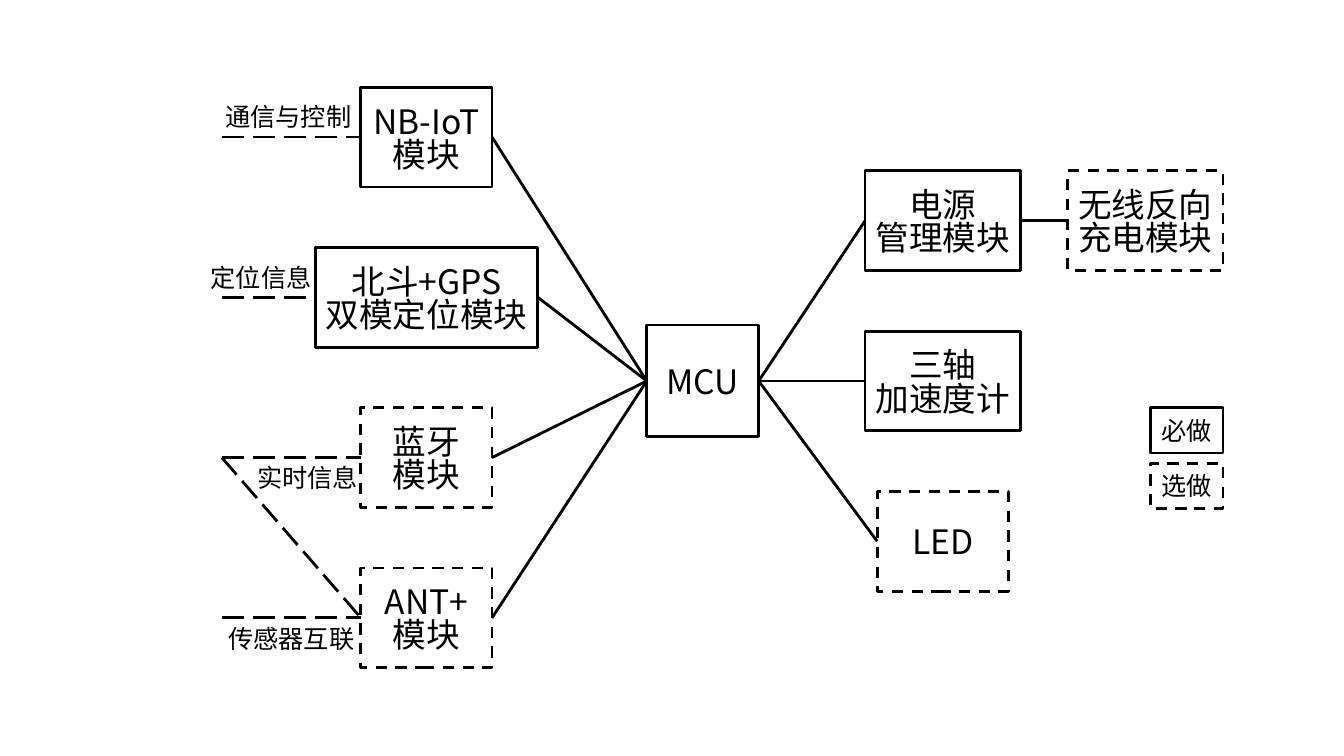
from pptx import Presentation
from pptx.dml.color import RGBColor
from pptx.enum import dml, shapes, text
from pptx.oxml.ns import qn
from pptx.util import Inches, Pt

FONT = "Noto Sans CJK SC"
INK = "000000"
SOLID, DASH, LONG = (dml.MSO_LINE.SOLID, dml.MSO_LINE.DASH, dml.MSO_LINE.LONG_DASH)
TOP, LEFT, BOTTOM, RIGHT = range(4)

ROW_STEP, BOX_H = 1.59, 0.99
LEFT_X, LEFT_Y = 4.23, 1.36
MCU_X, MCU_Y, MCU_SIZE = 6.97, 3.78, 1.11
RIGHT_X, CHARGER_X = 9.35, 11.36
LEGEND_X, LEGEND_Y, LEGEND_STEP = 11.77, 4.27, 0.55
STUB_X, LABEL_H = 2.2, 0.4

LEFT_MODULES = [
    (["NB-IoT", "模块"], 1.3, SOLID),
    (["北斗+GPS", "双模定位模块"], 2.21, SOLID),
    (["蓝牙", "模块"], 1.3, DASH),
    (["ANT+", "模块"], 1.3, DASH),
]
RIGHT_MODULES = [
    (["电源", "管理模块"], 1.54, SOLID),
    (["三轴", "加速度计"], 1.54, SOLID),
    (["LED"], 1.3, DASH),
]
CHARGER = ["无线反向", "充电模块"]
LABELS = [
    ("通信与控制", 2.86, 1.46, -1),
    ("定位信息", 2.59, 1.21, -1),
    ("实时信息", 3.05, 1.21, 1),
    ("传感器互联", 2.89, 1.46, 1),
]
LEGEND = [("必做", SOLID), ("选做", DASH)]


def color(value):
    return RGBColor.from_string(value)


def style_line(line, dash):
    line.color.rgb = color(INK)
    line.width = Pt(2)
    line.dash_style = dash


def write(shape, lines, size):
    frame = shape.text_frame
    frame.margin_left = frame.margin_right = 0
    frame.word_wrap = True
    frame.vertical_anchor = text.MSO_ANCHOR.MIDDLE
    for i, words in enumerate(lines):
        para = frame.add_paragraph() if i else frame.paragraphs[0]
        if i:
            para.line_spacing = 0.82
        para.alignment = text.PP_ALIGN.CENTER
        para.font.name = FONT
        para.font.size = Pt(size)
        para.font.color.rgb = color(INK)
        span = para.add_run()
        span.text = words
        east = span._r.get_or_add_rPr().makeelement(qn("a:ea"), {"typeface": FONT})
        span._r.get_or_add_rPr().append(east)


def frame_at(x, y, w, h):
    return [Inches(v) for v in (x - w / 2, y - h / 2, w, h)]


def add_box(lines, x, y, w, h=BOX_H, dash=SOLID, size=24):
    box = page.shapes.add_shape(shapes.MSO_SHAPE.RECTANGLE, *frame_at(x, y, w, h))
    box.shadow.inherit = False
    box.fill.background()
    style_line(box.line, dash)
    write(box, lines, size)
    return box


def add_wire(end, start=None, point=(0, 0), dash=SOLID):
    x, y = (Inches(v) for v in point)
    wire = page.shapes.add_connector(shapes.MSO_CONNECTOR.STRAIGHT, x, y, x, y)
    if start:
        wire.begin_connect(start, RIGHT)
    wire.end_connect(end, LEFT)
    style_line(wire.line, dash)
    properties = wire._element.spPr
    properties.append(properties.makeelement(qn("a:effectLst"), {}))


deck = Presentation()
deck.slide_width, deck.slide_height = Inches(13.33), Inches(7.5)
page = deck.slides.add_slide(deck.slide_layouts[6])

mcu = add_box(["MCU"], MCU_X, MCU_Y, MCU_SIZE, MCU_SIZE)

left_rows = [LEFT_Y + ROW_STEP * i for i in range(len(LEFT_MODULES))]
left_boxes = []
for (lines, width, dash), y in zip(LEFT_MODULES, left_rows):
    box = add_box(lines, LEFT_X, y, width, dash=dash)
    add_wire(mcu, start=box)
    add_wire(box, point=(STUB_X, y), dash=LONG)
    left_boxes.append(box)
add_wire(left_boxes[3], point=(STUB_X, left_rows[2]), dash=LONG)

for (words, x, width, side), y in zip(LABELS, left_rows):
    label = page.shapes.add_textbox(*frame_at(x, y + side * LABEL_H / 2, width, LABEL_H))
    write(label, [words], 18)

right_boxes = []
for i, (lines, width, dash) in enumerate(RIGHT_MODULES):
    box = add_box(lines, RIGHT_X, MCU_Y + ROW_STEP * (i - 1), width, dash=dash)
    add_wire(box, start=mcu)
    right_boxes.append(box)

charger = add_box(CHARGER, CHARGER_X, MCU_Y - ROW_STEP, 1.54, dash=DASH)
add_wire(charger, start=right_boxes[0])

for i, (words, dash) in enumerate(LEGEND):
    add_box([words], LEGEND_X, LEGEND_Y + LEGEND_STEP * i, 0.72, 0.45, dash, 18)

deck.save("out.pptx")
